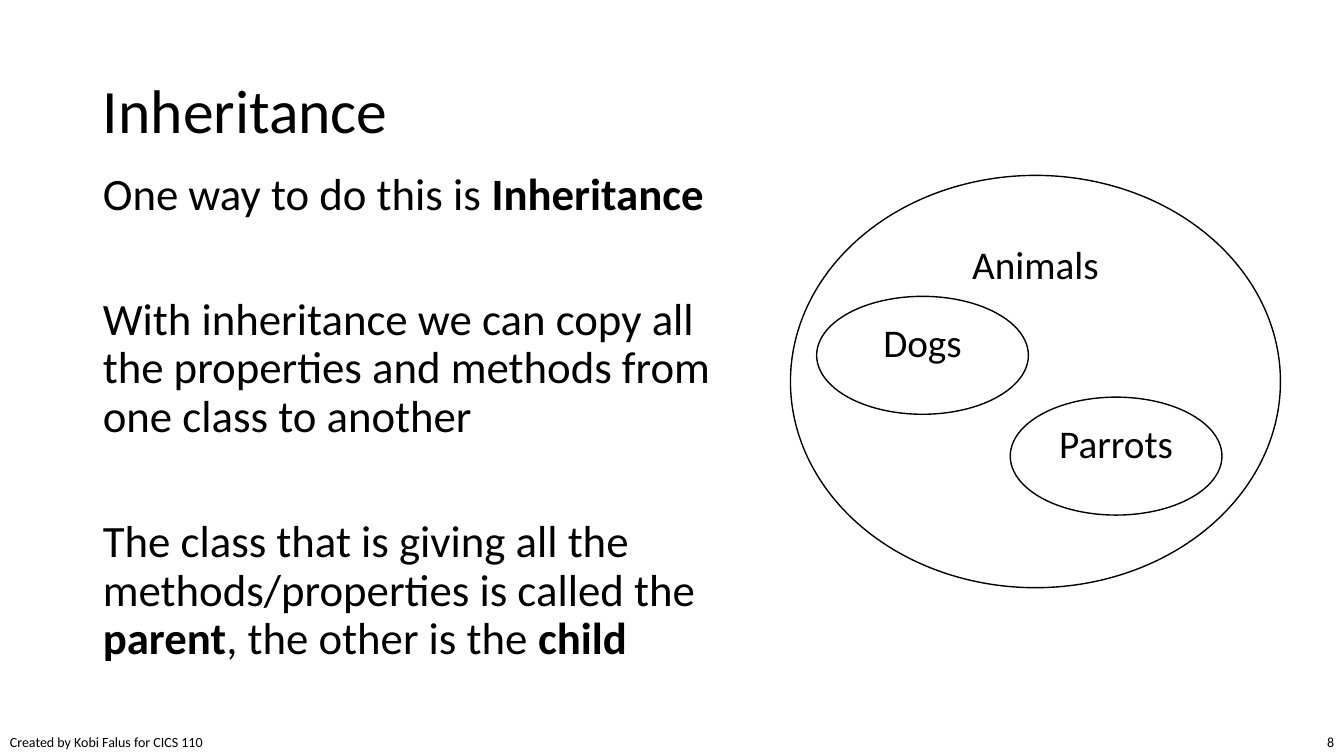
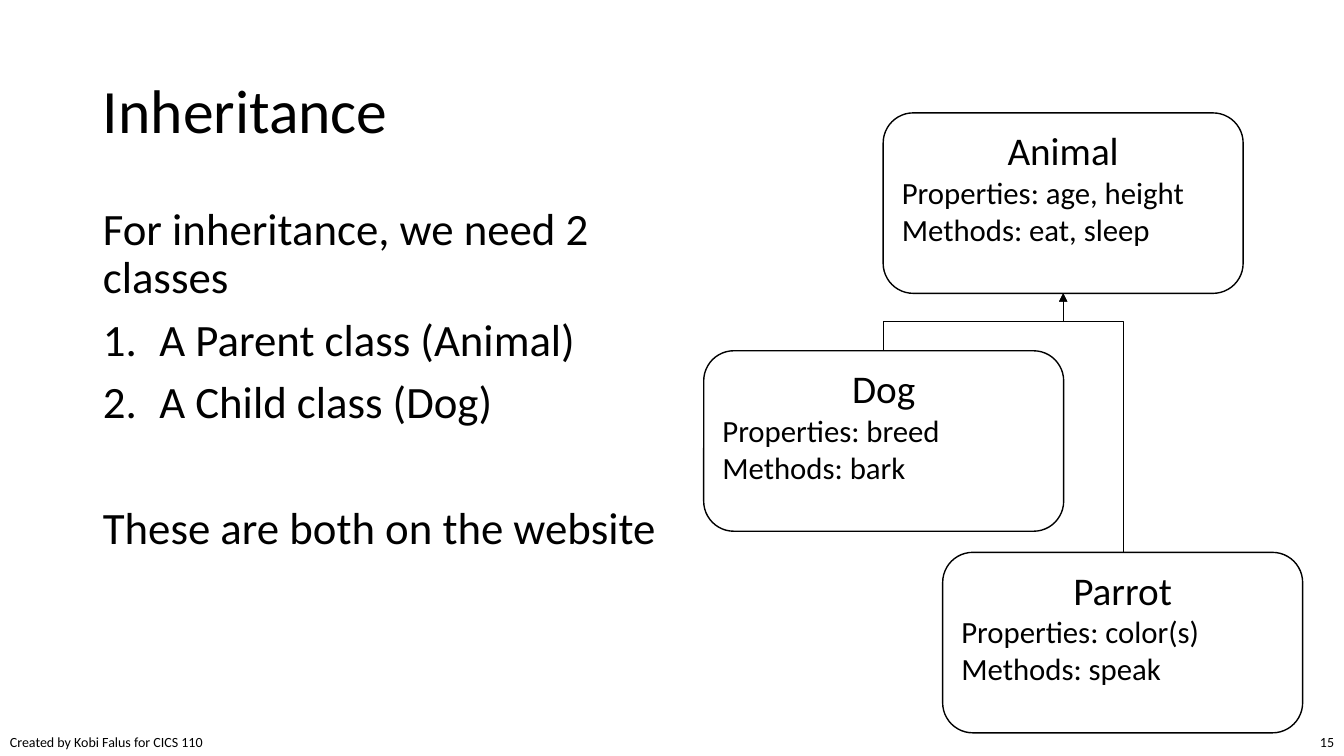
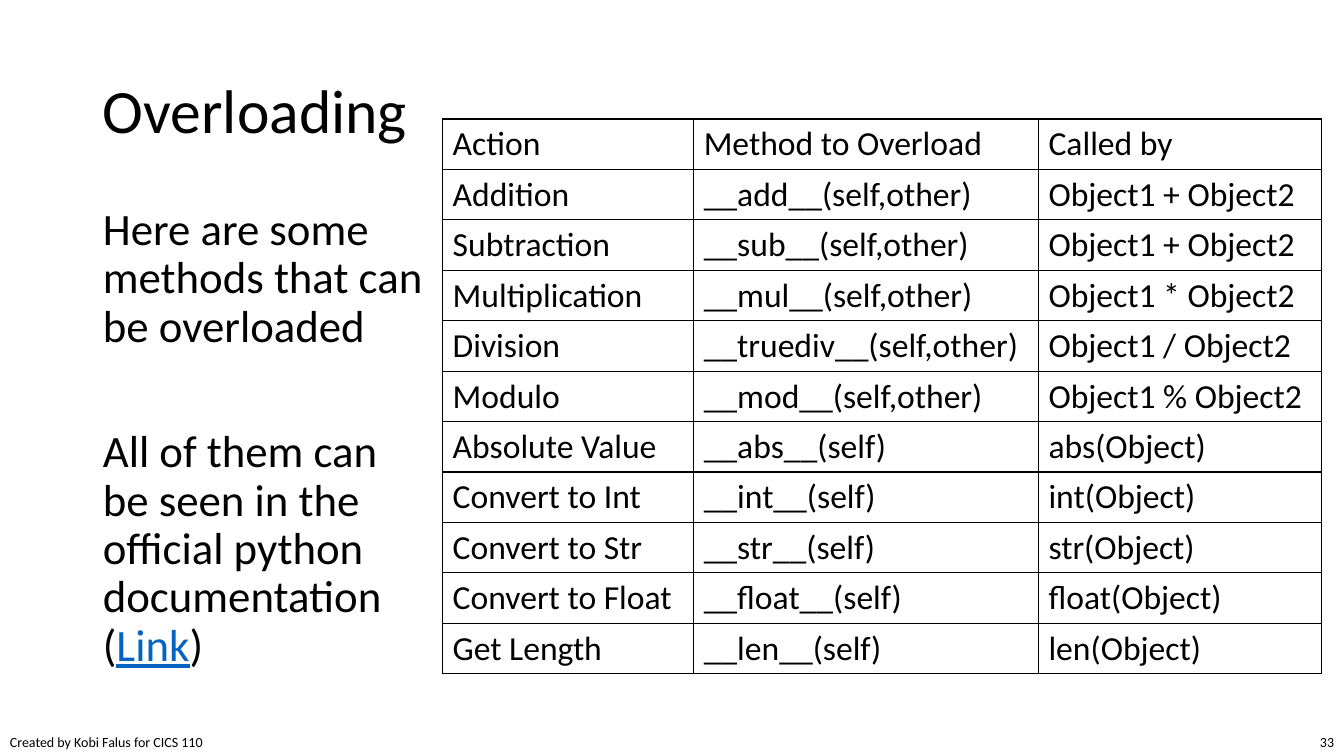
from dataclasses import dataclass
from typing import Optional

from lxml import etree
from pptx import Presentation
from pptx import util as u
from pptx.dml import color
from pptx.enum import shapes, text
from pptx.oxml import ns

FONT = "Calibri"
BLACK, WHITE, LINK_BLUE = "000000", "FFFFFF", "0563C1"
TITLE_SIZE, BODY_SIZE, NAME_SIZE, DETAIL_SIZE = 44, 32, 28, 22
TABLE_SIZE, FOOTER_SIZE = 24, 10
LINE_GAP, SECTION_GAP = 10, 55  # points before a paragraph
CREDIT = "Created by Kobi Falus for CICS 110"


@dataclass(frozen=True)
class Span:
    words: str
    bold: bool = False
    ink: str = BLACK
    underline: bool = False


@dataclass(frozen=True)
class Line:
    spans: tuple[Span, ...]
    gap: float = LINE_GAP
    numbered: bool = False


@dataclass(frozen=True)
class Box:
    left: float
    top: float
    width: float
    height: float


@dataclass(frozen=True)
class Figure:
    """A class in a diagram: its name and, if any, its details."""
    name: str
    box: Box
    details: tuple[str, ...] = ()


TITLE_BOX = Box(0.92, 0.4, 11.5, 1.45)
CREDIT_BOX = Box(0, 7.23, 2.15, 0.27)
NUMBER_BOX = Box(12.78, 7.23, 0.55, 0.27)

# Content of the slides
INHERITANCE_LINES = (
    Line((Span("One way to do this is "), Span("Inheritance", bold=True)), 0),
    Line((Span("With inheritance we can copy all the properties and methods "
               "from one class to another"),), SECTION_GAP),
    Line((Span("The class that is giving all the methods/properties is called the "),
          Span("parent", bold=True), Span(", the other is the "),
          Span("child", bold=True)), SECTION_GAP),
)
CLASS_LINES = (
    Line((Span("For inheritance, we need 2 classes"),), 0),
    Line((Span("A Parent class (Animal)"),), numbered=True),
    Line((Span("A Child class (Dog)"),), numbered=True),
    Line((Span("These are both on the website"),), SECTION_GAP),
)
OVERLOADING_LINES = (
    Line((Span("Here are some methods that can be overloaded"),), 0),
    Line((Span("All of them can be seen in the official python documentation ("),
          Span("Link", ink=LINK_BLUE, underline=True), Span(")")), SECTION_GAP),
)
ANIMAL_SETS = (
    Figure("Animals", Box(7.84, 1.74, 4.86, 4.09)),
    Figure("Dogs", Box(8.1, 2.94, 2.1, 1.17)),
    Figure("Parrots", Box(10.02, 3.94, 2.1, 1.17)),
)
CARD_WIDTH, CARD_HEIGHT = 3.57, 1.79
ANIMAL, DOG, PARROT = (
    Figure(name, Box(left, top, CARD_WIDTH, CARD_HEIGHT), details)
    for name, left, top, details in (
        ("Animal", 8.76, 1.12, ("Properties: age, height", "Methods: eat, sleep")),
        ("Dog", 6.98, 3.48, ("Properties: breed", "Methods: bark")),
        ("Parrot", 9.35, 5.48, ("Properties: color(s)", "Methods: speak")),
    )
)
BEND_TOP = 3.19
OVERLOADS = (
    ("Action", "Method to Overload", "Called by"),
    ("Addition", "__add__(self,other)", "Object1 + Object2"),
    ("Subtraction", "__sub__(self,other)", "Object1 + Object2"),
    ("Multiplication", "__mul__(self,other)", "Object1 * Object2"),
    ("Division", "__truediv__(self,other)", "Object1 / Object2"),
    ("Modulo", "__mod__(self,other)", "Object1 % Object2"),
    ("Absolute Value", "__abs__(self)", "abs(Object)"),
    ("Convert to Int", "__int__(self)", "int(Object)"),
    ("Convert to Str", "__str__(self)", "str(Object)"),
    ("Convert to Float", "__float__(self)", "float(Object)"),
    ("Get Length", "__len__(self)", "len(Object)"),
)
OVERLOAD_WIDTHS = (2.49, 3.42, 2.81)
OVERLOAD_ROW = 0.5


def rgb(ink: str) -> color.RGBColor:
    return color.RGBColor.from_string(ink)


def inches(box: Box) -> tuple:
    return tuple(u.Inches(n) for n in (box.left, box.top, box.width, box.height))


def place(placeholder, box: Box) -> None:
    (placeholder.left, placeholder.top,
     placeholder.width, placeholder.height) = inches(box)


def add_span(paragraph, span: Span, size: float) -> None:
    run = paragraph.add_run()
    run.text = span.words
    run.font.name = FONT
    run.font.size = u.Pt(size)
    run.font.bold = span.bold
    run.font.underline = span.underline
    run.font.color.rgb = rgb(span.ink)


def set_bullet(paragraph, numbered: bool) -> None:
    properties = paragraph._p.get_or_add_pPr()
    indent = u.Inches(0.56) if numbered else 0
    properties.set("marL", str(indent))
    properties.set("indent", str(-indent))
    if numbered:
        etree.SubElement(properties, ns.qn("a:buFont")).set("typeface", "+mj-lt")
        etree.SubElement(properties, ns.qn("a:buAutoNum")).set("type", "arabicPeriod")
    else:
        etree.SubElement(properties, ns.qn("a:buNone"))


def add_footer(slide, words: str, box: Box, align, wrap: bool) -> None:
    footer = slide.shapes.add_textbox(*inches(box)).text_frame
    footer.word_wrap = wrap
    footer.paragraphs[0].alignment = align
    add_span(footer.paragraphs[0], Span(words), FOOTER_SIZE)


def add_page(deck, heading: str, number: int, lines: tuple[Line, ...], body_box: Box):
    """Add a slide with its footers, title and body text."""
    slide = deck.slides.add_slide(deck.slide_layouts[1])
    add_footer(slide, CREDIT, CREDIT_BOX, text.PP_ALIGN.LEFT, False)
    add_footer(slide, str(number), NUMBER_BOX, text.PP_ALIGN.RIGHT, True)

    title = slide.shapes.title
    place(title, TITLE_BOX)
    title.text_frame.auto_size = text.MSO_AUTO_SIZE.NONE
    title.text_frame.vertical_anchor = text.MSO_ANCHOR.MIDDLE
    title_line = title.text_frame.paragraphs[0]
    title_line.alignment = text.PP_ALIGN.LEFT
    title_line.line_spacing = 0.9
    add_span(title_line, Span(heading), TITLE_SIZE)

    body = slide.placeholders[1]
    place(body, body_box)
    body.text_frame.auto_size = text.MSO_AUTO_SIZE.NONE
    for index, line in enumerate(lines):
        paragraph = (body.text_frame.add_paragraph() if index
                     else body.text_frame.paragraphs[0])
        set_bullet(paragraph, line.numbered)
        paragraph.line_spacing = 0.9
        paragraph.space_before = u.Pt(line.gap)
        for span in line.spans:
            add_span(paragraph, span, BODY_SIZE)
    return slide


def add_figure(slide, figure: Figure, outline) -> None:
    shape = slide.shapes.add_shape(outline, *inches(figure.box))
    shape.shadow.inherit = False
    shape.fill.solid()
    shape.fill.fore_color.rgb = rgb(WHITE)
    shape.line.color.rgb = rgb(BLACK)
    shape.line.width = u.Pt(1)
    frame = shape.text_frame
    frame.word_wrap = True
    frame.vertical_anchor = text.MSO_ANCHOR.TOP
    frame.paragraphs[0].alignment = text.PP_ALIGN.CENTER
    add_span(frame.paragraphs[0], Span(figure.name), NAME_SIZE)
    if figure.details:
        details = frame.add_paragraph()
        details.alignment = text.PP_ALIGN.LEFT
        for index, detail in enumerate(figure.details):
            if index:
                details.add_line_break()
            add_span(details, Span(detail), DETAIL_SIZE)


def add_parent_arrow(slide, child: Figure, parent: Figure,
                     start_x: Optional[float] = None) -> None:
    """Draw an elbow from the child's top up to the middle of the parent's foot."""
    if start_x is None:
        start_x = child.box.left + child.box.width / 2
    start_y = child.box.top
    end_x = parent.box.left + parent.box.width / 2
    end_y = parent.box.top + parent.box.height
    # An elbow leaves sideways, so it is laid flat and turned by 270 degrees.
    middle_x, middle_y = (start_x + end_x) / 2, (start_y + end_y) / 2
    reach, shift = (start_y - end_y) / 2, start_x - middle_x
    arrow = slide.shapes.add_connector(
        shapes.MSO_CONNECTOR.ELBOW,
        u.Inches(middle_x - reach), u.Inches(middle_y + shift),
        u.Inches(middle_x + reach), u.Inches(middle_y - shift))
    arrow.line.color.rgb = rgb(BLACK)
    arrow.line.width = u.Pt(0.5)
    properties = arrow.element.spPr
    properties.find(ns.qn("a:xfrm")).set("rot", str(270 * 60000))
    bend = round((start_y - BEND_TOP) / (start_y - end_y) * 100000)
    guide = etree.SubElement(properties.find(".//" + ns.qn("a:avLst")), ns.qn("a:gd"))
    guide.set("name", "adj1")
    guide.set("fmla", f"val {bend}")
    etree.SubElement(properties.find(ns.qn("a:ln")),
                     ns.qn("a:tailEnd")).set("type", "triangle")
    etree.SubElement(properties, ns.qn("a:effectLst"))


def set_borders(cell) -> None:
    properties = cell._tc.get_or_add_tcPr()
    for side in ("a:lnL", "a:lnR", "a:lnT", "a:lnB"):
        border = etree.SubElement(properties, ns.qn(side))
        border.set("w", str(u.Pt(1)))
        fill = etree.SubElement(border, ns.qn("a:solidFill"))
        etree.SubElement(fill, ns.qn("a:srgbClr")).set("val", BLACK)


def add_overload_table(slide, left: float, top: float) -> None:
    box = Box(left, top, sum(OVERLOAD_WIDTHS), OVERLOAD_ROW * len(OVERLOADS))
    table = slide.shapes.add_table(
        len(OVERLOADS), len(OVERLOAD_WIDTHS), *inches(box)).table
    table.first_row = table.horz_banding = False
    for column, width in zip(table.columns, OVERLOAD_WIDTHS):
        column.width = u.Inches(width)
    for row, entries in zip(table.rows, OVERLOADS):
        row.height = u.Inches(OVERLOAD_ROW)
        for cell, entry in zip(row.cells, entries):
            set_borders(cell)
            cell.fill.background()
            add_span(cell.text_frame.paragraphs[0], Span(entry), TABLE_SIZE)


def main() -> None:
    deck = Presentation()
    deck.slide_width, deck.slide_height = u.Inches(13.33), u.Inches(7.5)

    # Sets of animals
    sets = add_page(deck, "Inheritance", 8, INHERITANCE_LINES,
                    Box(0.92, 1.65, 6.6, 5.46))
    for figure in ANIMAL_SETS:
        add_figure(sets, figure, shapes.MSO_SHAPE.OVAL)

    # Parent and child classes
    classes = add_page(deck, "Inheritance", 15, CLASS_LINES,
                       Box(0.92, 2, 6.04, 5.1))
    for figure in (ANIMAL, DOG, PARROT):
        add_figure(classes, figure, shapes.MSO_SHAPE.ROUNDED_RECTANGLE)
    add_parent_arrow(classes, DOG, ANIMAL)
    add_parent_arrow(classes, PARROT, ANIMAL, start_x=11.14)

    # Methods to overload
    overloading = add_page(deck, "Overloading", 33, OVERLOADING_LINES,
                           Box(0.92, 2, 3.4, 4.76))
    add_overload_table(overloading, 4.39, 1.18)

    deck.save("out.pptx")


if __name__ == "__main__":
    main()
